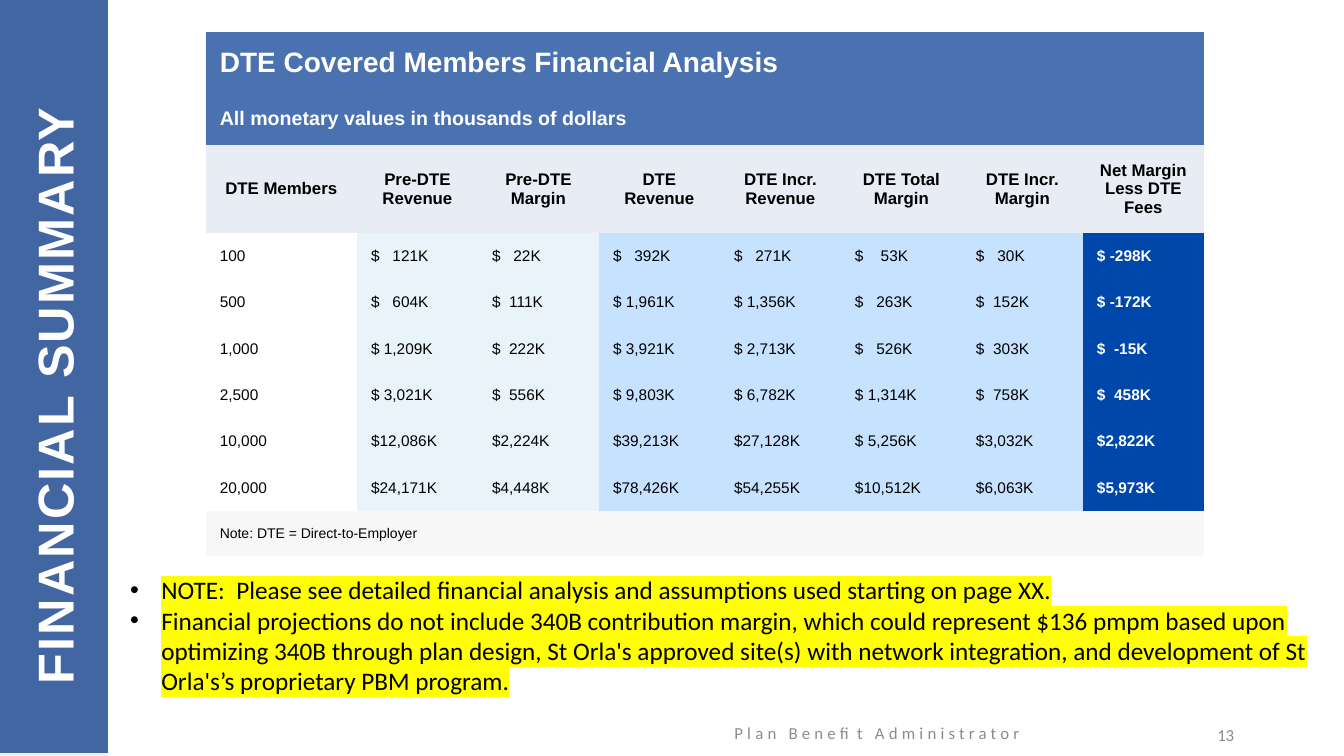
from lxml import etree
from pptx import Presentation
from pptx import util as u
from pptx.dml.color import RGBColor
from pptx.enum import shapes, text
from pptx.oxml.ns import qn

WHITE = RGBColor(0xFF, 0xFF, 0xFF)
BLACK = RGBColor(0, 0, 0)
GREY = RGBColor(0x8C, 0x8C, 0x8C)
PALE_GREY = RGBColor(0xF2, 0xF2, 0xF2)
NAVY = RGBColor(0x25, 0x4F, 0x96)
BANNER = RGBColor(0x4A, 0x72, 0xB0)
HEADING = RGBColor(0xE7, 0xEC, 0xF5)
BEFORE = RGBColor(0xE8, 0xF4, 0xF9)
AFTER = RGBColor(0xC6, 0xE2, 0xFF)
NET = RGBColor(0x00, 0x47, 0xAB)
NOTE = RGBColor(0xF7, 0xF7, 0xF7)
YELLOW = RGBColor(0xFF, 0xFF, 0x00)

HEADERS = ["DTE Members", "Pre-DTE Revenue", "Pre-DTE Margin", "DTE Revenue",
           "DTE Incr. Revenue", "DTE Total Margin", "DTE Incr. Margin",
           "Net Margin Less DTE Fees"]
FIGURES = [
    ["100", "$   121K", "$   22K", "$   392K", "$   271K", "$    53K", "$   30K", "$ -298K"],
    ["500", "$   604K", "$  111K", "$ 1,961K", "$ 1,356K", "$   263K", "$  152K", "$ -172K"],
    ["1,000", "$ 1,209K", "$  222K", "$ 3,921K", "$ 2,713K", "$   526K", "$  303K", "$  -15K"],
    ["2,500", "$ 3,021K", "$  556K", "$ 9,803K", "$ 6,782K", "$ 1,314K", "$  758K", "$  458K"],
    ["10,000", "$12,086K", "$2,224K", "$39,213K", "$27,128K", "$ 5,256K", "$3,032K", "$2,822K"],
    ["20,000", "$24,171K", "$4,448K", "$78,426K", "$54,255K", "$10,512K", "$6,063K", "$5,973K"],
]
COLUMN_FILLS = [None] + [BEFORE] * 2 + [AFTER] * 4 + [NET]
BULLETS = [
    "NOTE:  Please see detailed financial analysis and assumptions used starting on page XX.",
    "Financial projections do not include 340B contribution margin, which could represent "
    "$136 pmpm based upon optimizing 340B through plan design, St Orla's approved site(s) "
    "with network integration, and development of St Orla's’s proprietary PBM program.",
]


def write(p, words, color, spacing=0, **font):
    r = p.add_run()
    r.text = words
    for name, value in font.items():
        setattr(r.font, name, value)
    r.font.color.rgb = color
    if spacing:
        r.font._element.set("spc", str(int(spacing * 100)))
    return r


def place(sp, left, top, width, height):
    for name, value in zip(("left", "top", "width", "height"), (left, top, width, height)):
        setattr(sp, name, u.Inches(value))


prs = Presentation()
prs.slide_width, prs.slide_height = u.Inches(13.33), u.Inches(7.5)
s = prs.slides.add_slide(prs.slide_layouts[1])
title, body = s.placeholders

# Side bar
for color, top in ((PALE_GREY, 0), (NAVY, -0.03)):
    bar = s.shapes.add_shape(shapes.MSO_SHAPE.RECTANGLE, 0, u.Inches(top),
                             u.Inches(1.07), prs.slide_height)
    bar.shadow.inherit = False
    bar.fill.solid()
    bar.fill.fore_color.rgb = color
    bar.line.fill.background()
navy_fill = bar.element.spPr.find(qn("a:solidFill"))[0]
etree.SubElement(navy_fill, qn("a:alpha")).set("val", "86000")

# Vertical title, in front of the bar
bar.element.addnext(title.element)
place(title, -2.7, 3.25, 6.46, 0.82)
title.rotation = 270
tf = title.text_frame
tf.auto_size = text.MSO_AUTO_SIZE.NONE
tf.vertical_anchor = text.MSO_ANCHOR.MIDDLE
p = tf.paragraphs[0]
p.alignment = text.PP_ALIGN.LEFT
write(p, "FINANCIAL SUMMARY", WHITE, 1.5, size=u.Pt(36), name="Arial", bold=True)

# Highlighted notes
place(body, 1.19, 5.65, 11.9, 1.31)
tf = body.text_frame
tf.auto_size = text.MSO_AUTO_SIZE.NONE
for i, words in enumerate(BULLETS):
    p = tf.add_paragraph() if i else tf.paragraphs[0]
    p.space_before = u.Pt(0)
    pPr = p._p.get_or_add_pPr()
    pPr.set("marL", str(u.Inches(0.31)))
    pPr.set("indent", str(u.Inches(-0.31)))
    etree.SubElement(pPr, qn("a:buFont")).set("typeface", "Arial")
    etree.SubElement(pPr, qn("a:buChar")).set("char", "•")
    r = write(p, words, BLACK, size=u.Pt(18), name="Calibri")
    highlight = etree.Element(qn("a:highlight"))
    etree.SubElement(highlight, qn("a:srgbClr")).set("val", str(YELLOW))
    r.font._element.find(qn("a:solidFill")).addnext(highlight)

# Financial table
col_widths = [1.5] + [1.2] * 7
row_heights = [0.6, 0.52, 0.87] + [0.46] * len(FIGURES) + [0.45]
n_rows, n_cols = len(row_heights), len(col_widths)
frame = s.shapes.add_table(n_rows, n_cols, u.Inches(2.04), u.Inches(0.32),
                           u.Inches(sum(col_widths)), u.Inches(sum(row_heights)))
table = frame.table
table.first_row = table.horz_banding = False
NO_STYLE = "{2D5ABB26-0587-4C30-8999-92F81FD0307C}"
table._tbl.tblPr.find(qn("a:tableStyleId")).text = NO_STYLE
for col, width in zip(table.columns, col_widths):
    col.width = u.Inches(width)
for row, height in zip(table.rows, row_heights):
    row.height = u.Inches(height)

# Each row: its words, fills, text size, text colour, bold
rows = [
    (["DTE Covered Members Financial Analysis"], [BANNER], 20, WHITE, True),
    (["All monetary values in thousands of dollars"], [BANNER], 14, WHITE, True),
    (HEADERS, [HEADING] * n_cols, 12, BLACK, True),
    *((figures, COLUMN_FILLS, 11, BLACK, False) for figures in FIGURES),
    (["Note: DTE = Direct-to-Employer"], [NOTE], 10, BLACK, False),
]
for i, (row, fills, size, color, bold) in enumerate(rows):
    if len(row) == 1:
        table.cell(i, 0).merge(table.cell(i, n_cols - 1))
    for j, (words, fill) in enumerate(zip(row, fills)):
        cell = table.cell(i, j)
        for side in ("left", "top", "right", "bottom"):
            setattr(cell, f"margin_{side}", u.Inches(0.14))
        cell.vertical_anchor = text.MSO_ANCHOR.MIDDLE
        if fill is None:
            cell.fill.background()
        else:
            cell.fill.solid()
            cell.fill.fore_color.rgb = fill
        p = cell.text_frame.paragraphs[0]
        if row is HEADERS:
            p.alignment = text.PP_ALIGN.CENTER
        net = fill == NET
        write(p, words, WHITE if net else color, size=u.Pt(size), name="Arial",
              bold=bold or net)

# Footer and page number
for words, box, align, spacing in (
        ("Plan Benefit Administrator", (6.45, 7.07, 4.5, 0.4), text.PP_ALIGN.CENTER, 3),
        ("13", (9.34, 7.09, 3, 0.4), text.PP_ALIGN.RIGHT, 0)):
    sp = s.shapes.add_textbox(*map(u.Inches, box))
    tf = sp.text_frame
    tf.word_wrap = True
    tf.vertical_anchor = text.MSO_ANCHOR.MIDDLE
    p = tf.paragraphs[0]
    p.alignment = align
    write(p, words, GREY, spacing, size=u.Pt(12), name="Calibri")

prs.save("out.pptx")
